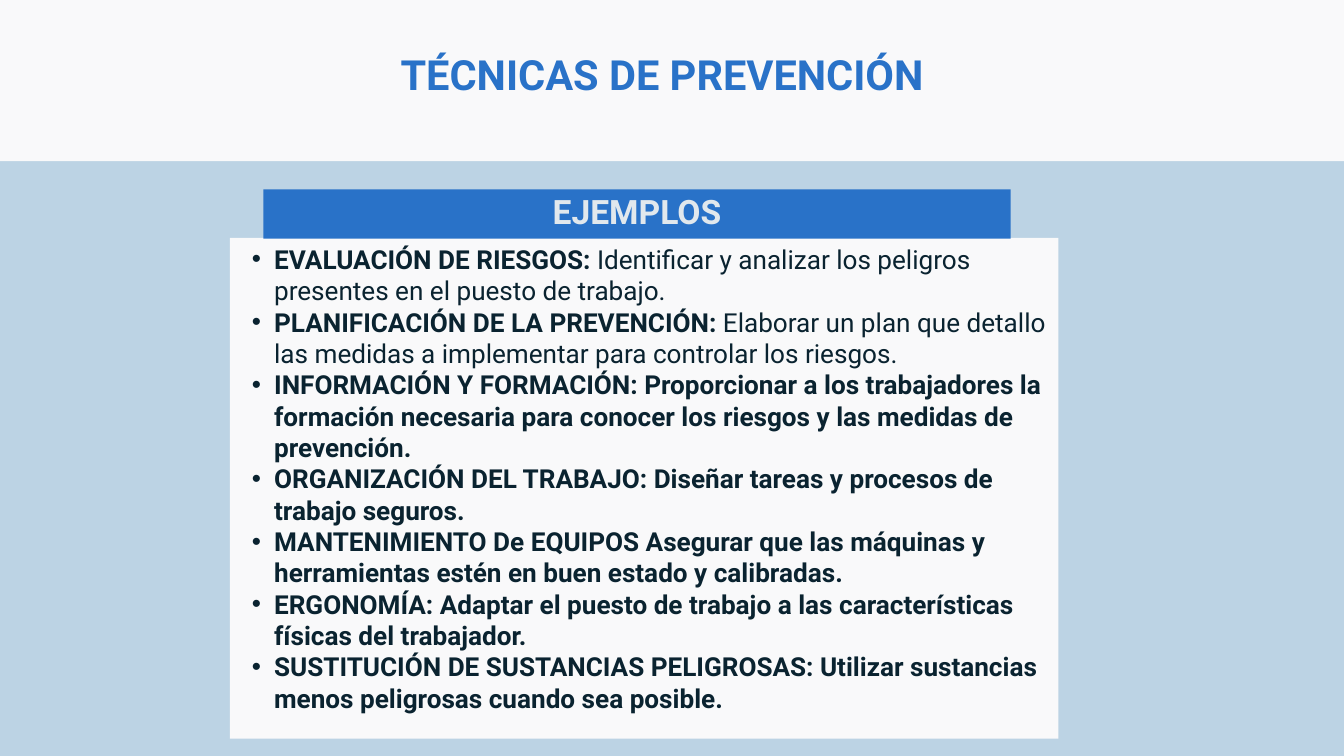
from dataclasses import dataclass

from lxml.etree import SubElement
from pptx import Presentation
from pptx.dml.color import RGBColor
from pptx.enum.shapes import MSO_SHAPE as Shape
from pptx.enum.text import MSO_ANCHOR as Anchor, MSO_AUTO_SIZE as AutoSize, PP_ALIGN as Align
from pptx.oxml.ns import qn
from pptx.util import Inches, Pt


@dataclass(frozen=True)
class Theme:
    font: str = "Roboto"
    background: str = "BCD3E4"
    surface: str = "F9F9FA"
    accent: str = "2972C8"
    on_accent: str = "E1E8ED"
    ink: str = "0A2330"
    title_size: float = 44.5
    header_size: float = 36
    body_size: float = 28
    body_leading: float = 33.6


THEME = Theme()

# Each example: bold text, then regular text
EXAMPLES = [
    ("EVALUACIÓN DE RIESGOS: ",
     "Identificar y analizar los peligros presentes en el puesto de trabajo."),
    ("PLANIFICACIÓN DE LA PREVENCIÓN: ",
     "Elaborar un plan que detallo las medidas a implementar para controlar los riesgos."),
    ("INFORMACIÓN Y FORMACIÓN: Proporcionar a los trabajadores la formación necesaria "
     "para conocer los riesgos y las medidas de prevención.", ""),
    ("ORGANIZACIÓN DEL TRABAJO: Diseñar tareas y procesos de trabajo seguros.", ""),
    ("MANTENIMIENTO De EQUIPOS Asegurar que las máquinas y herramientas estén en buen "
     "estado y calibradas.", ""),
    ("ERGONOMÍA: Adaptar el puesto de trabajo a las características físicas del "
     "trabajador.", ""),
    ("SUSTITUCIÓN DE SUSTANCIAS PELIGROSAS: Utilizar sustancias menos peligrosas cuando "
     "sea posible.", ""),
]


def add_block(s, x, y, w, h, color):
    sp = s.shapes.add_shape(Shape.RECTANGLE, Inches(x), Inches(y), Inches(w), Inches(h))
    sp.shadow.inherit = False
    sp.fill.solid()
    sp.fill.fore_color.rgb = RGBColor.from_string(color)
    sp.line.fill.background()


def add_run(p, text, size, color, bold=True):
    r = p.add_run()
    r.text = text
    r.font.name = THEME.font
    r.font.size = Pt(size)
    r.font.bold = bold
    r.font.color.rgb = RGBColor.from_string(color)


def prepare_frame(tf):
    tf.margin_left = tf.margin_right = tf.margin_top = tf.margin_bottom = 0
    tf.vertical_anchor = Anchor.TOP
    tf.word_wrap = True
    tf.auto_size = AutoSize.NONE
    return tf


def add_text_box(s, x, y, w, h):
    box = s.shapes.add_textbox(Inches(x), Inches(y), Inches(w), Inches(h))
    return prepare_frame(box.text_frame)


def set_bullet(p, left, hanging):
    p.level = 1
    pPr = p._p.get_or_add_pPr()
    pPr.set("marL", str(Inches(left)))
    pPr.set("indent", str(-Inches(hanging)))
    SubElement(pPr, qn("a:buFont")).set("typeface", "Arial")
    SubElement(pPr, qn("a:buChar")).set("char", "•")


def add_title(s, text):
    title = s.shapes.title
    title.left, title.top = Inches(5.96), Inches(0.85)
    title.width, title.height = Inches(7.87), Inches(0.64)
    p = prepare_frame(title.text_frame).paragraphs[0]
    p.alignment = Align.LEFT
    p.line_spacing = Pt(THEME.title_size)
    add_run(p, text, THEME.title_size, THEME.accent)
    # Bring the title in front of its band
    title.element.getparent().append(title.element)


def add_header(s, text):
    add_block(s, 3.92, 2.82, 11.12, 0.73, THEME.accent)
    p = add_text_box(s, 4.74, 2.94, 9.48, 0.53).paragraphs[0]
    p.alignment = Align.CENTER
    p.line_spacing = Pt(THEME.header_size)
    add_run(p, text, THEME.header_size, THEME.on_accent)


def add_examples(s, examples):
    tf = add_text_box(s, 3.42, 3.62, 12.17, 7.33)
    for i, (strong, regular) in enumerate(examples):
        p = tf.add_paragraph() if i else tf.paragraphs[0]
        set_bullet(p, 0.66, 0.33)
        p.line_spacing = Pt(THEME.body_leading)
        add_run(p, strong, THEME.body_size, THEME.ink)
        if regular:
            add_run(p, regular, THEME.body_size, THEME.ink, bold=False)


def main():
    prs = Presentation()
    prs.slide_width, prs.slide_height = Inches(20), Inches(11.25)
    s = prs.slides.add_slide(prs.slide_layouts[5])
    s.background.fill.solid()
    s.background.fill.fore_color.rgb = RGBColor.from_string(THEME.background)

    # Title band and content panel
    add_block(s, 0, 0, 20, 2.4, THEME.surface)
    add_block(s, 3.42, 3.54, 12.33, 7.45, THEME.surface)

    # Texts
    add_header(s, "EJEMPLOS")
    add_examples(s, EXAMPLES)
    add_title(s, "TÉCNICAS DE PREVENCIÓN")
    prs.save("out.pptx")


if __name__ == "__main__":
    main()
